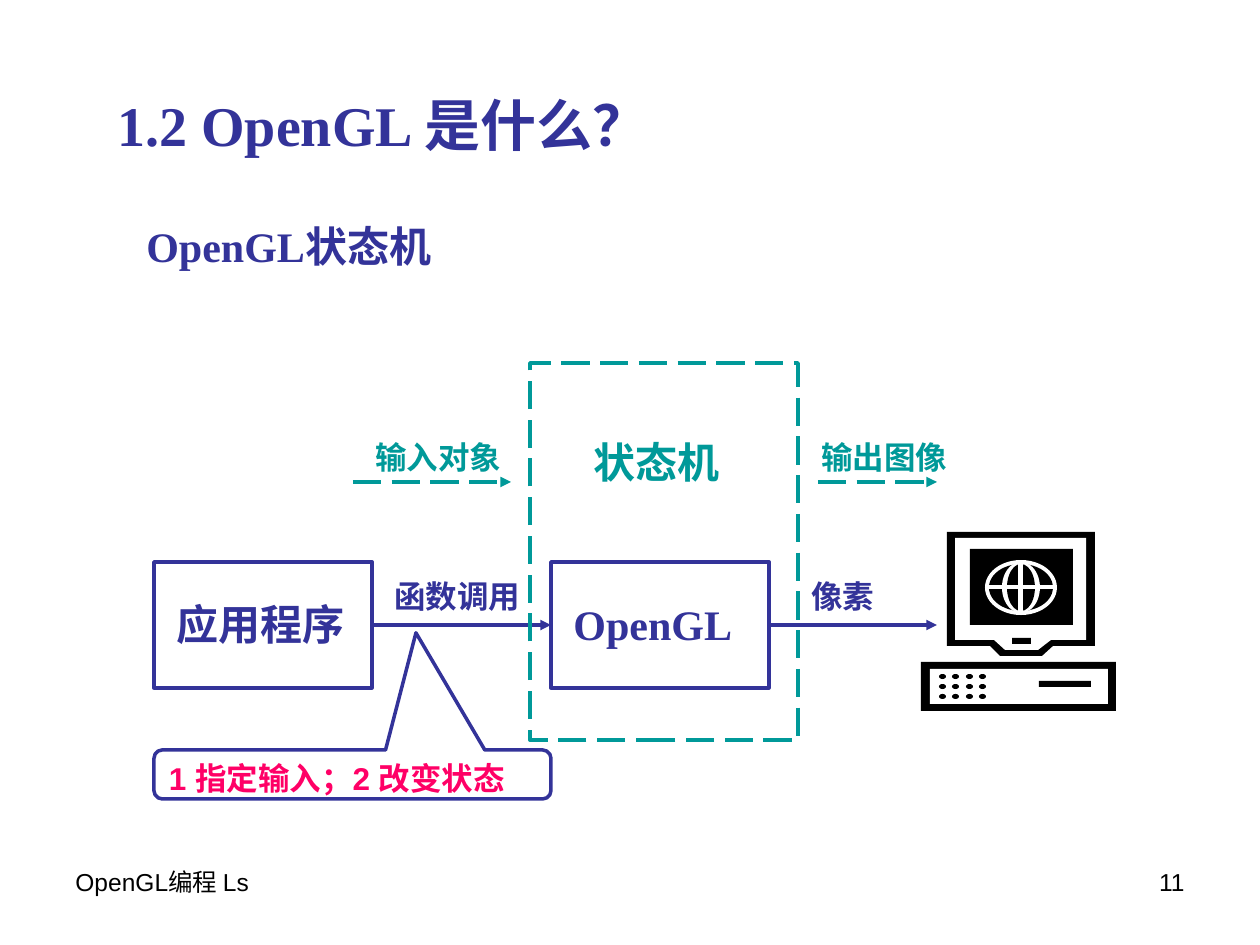
import pptx
import pptx.util
import pptx.dml.color
import pptx.enum.dml
import pptx.enum.shapes
import pptx.enum.text
import pptx.oxml.ns
from lxml import etree

PX = 914400 / 126
SHAPES = pptx.enum.shapes.MSO_SHAPE

THEME = {
    "navy": "333399", "teal": "009999", "pink": "FF0066",
    "black": "000000", "white": "FFFFFF",
    "serif": "Times New Roman", "sans": "Arial",
    "title": 32, "heading": 24, "label": 18, "footer": 14, "stroke": 2,
}

HEADING = ("heading", "serif", "navy", True)
CALL_LABEL = ("label", "serif", "navy", True)
STATE_LABEL = ("label", "sans", "teal", True)
FOOTER = ("footer", "sans", "black", False)
CALLOUT = ("label", "sans", "pink", True)

TEXTS = [
    ("1.2 OpenGL 是什么？", (105, 84, 645, 81), ("title", "serif", "navy", True), {}),
    ("OpenGL状态机", (134, 214, 328, 63), HEADING, {}),
    ("应用程序", (164, 592, 198, 63), HEADING, {}),
    ("OpenGL", (561, 592, 198, 63), HEADING, {}),
    ("函数调用", (382, 571, 198, 50), CALL_LABEL, {}),
    ("像素", (799, 571, 110, 50), CALL_LABEL, {}),
    ("状态机", (581, 430, 151, 63), ("heading", "sans", "teal", True), {"word_wrap": False}),
    ("输出图像", (809, 432, 151, 50), STATE_LABEL, {"word_wrap": False}),
    ("输入对象", (363, 432, 151, 50), STATE_LABEL, {"word_wrap": False}),
    ("11", (903, 861, 294, 66), FOOTER, {"alignment": pptx.enum.text.PP_ALIGN.RIGHT}),
    ("OpenGL编程 Ls", (63, 861, 294, 66), FOOTER, {}),
]
CALLOUT_TEXT = "1 指定输入；2 改变状态"

MONITOR = [
    ("black", [(1095, 532), (947, 532), (947, 646), (990, 646),
               (1000, 656), (1042, 656), (1053, 646), (1095, 646)]),
    ("white", [(1038, 650), (1005, 650), (994, 640), (955, 640),
               (955, 538), (1086, 538), (1086, 640), (1051, 640)]),
]
CASE_PARTS = [
    ("black", (970, 549, 103, 76)),
    ("black", (921, 662, 195, 49)),
    ("white", (930, 669, 178, 35)),
    ("black", (1039, 681, 52, 6)),
    ("black", (1012, 638, 19, 6)),
]
GLOBE_RINGS = [("white", (985, 560, 72, 55)), ("black", (989, 564, 64, 47)),
               ("white", (1002, 562, 38, 51)), ("black", (1007, 564, 28, 47))]
GLOBE_BARS = [("white", (1018, 562, 5, 51)), ("white", (987, 585, 68, 4))]
KEY_DOTS = [("black", (round(939 + 13.4 * column), 674 + 10 * row, 7, 5))
            for row in range(3) for column in range(4)]

prs = pptx.Presentation()
prs.slide_width, prs.slide_height = pptx.util.Inches(10), pptx.util.Inches(7.5)
slide = prs.slides.add_slide(prs.slide_layouts[6])


def emu(lengths):
    return [round(length * PX) for length in lengths]


def color(name):
    return pptx.dml.color.RGBColor.from_string(THEME[name])


def fill_solid(shape, name):
    shape.shadow.inherit = False
    shape.fill.solid()
    shape.fill.fore_color.rgb = color(name)
    shape.line.fill.background()


def stroke(line, name, dashed=False):
    line.color.rgb = color(name)
    line.width = pptx.util.Pt(THEME["stroke"])
    if dashed:
        line.dash_style = pptx.enum.dml.MSO_LINE.LONG_DASH


def add_filled(preset, parts):
    for name, box in parts:
        fill_solid(slide.shapes.add_shape(preset, *emu(box)), name)


def add_outline(preset, box, name, dashed=False):
    shape = slide.shapes.add_shape(preset, *emu(box))
    shape.shadow.inherit = False
    shape.fill.background()
    stroke(shape.line, name, dashed)
    return shape


def add_arrow(start, end, name, dashed=False):
    arrow = slide.shapes.add_connector(
        pptx.enum.shapes.MSO_CONNECTOR.STRAIGHT, *emu(start + end))
    stroke(arrow.line, name, dashed)
    etree.SubElement(arrow.line._get_or_add_ln(), pptx.oxml.ns.qn("a:tailEnd"), type="triangle")
    etree.SubElement(arrow._element.spPr, pptx.oxml.ns.qn("a:effectLst"))
    return arrow


def write(shape, words, style, layout):
    size, face, ink, bold = style
    frame = shape.text_frame
    frame.word_wrap = layout.get("word_wrap", True)
    frame.vertical_anchor = pptx.enum.text.MSO_ANCHOR.TOP
    paragraph = frame.paragraphs[0]
    paragraph.alignment = layout.get("alignment", pptx.enum.text.PP_ALIGN.LEFT)
    run = paragraph.add_run()
    run.text = words
    font_format = {"size": pptx.util.Pt(THEME[size]), "name": THEME[face], "bold": bold}
    for attribute, value in font_format.items():
        setattr(run.font, attribute, value)
    run.font.color.rgb = color(ink)


for name, points in MONITOR:
    outline = slide.shapes.build_freeform(*points[0], scale=PX)
    outline.add_line_segments(points[1:], close=True)
    fill_solid(outline.convert_to_shape(), name)
add_filled(SHAPES.RECTANGLE, CASE_PARTS)
add_filled(SHAPES.OVAL, GLOBE_RINGS)
add_filled(SHAPES.RECTANGLE, GLOBE_BARS)
add_filled(SHAPES.OVAL, KEY_DOTS)

application = add_outline(SHAPES.RECTANGLE, (154, 562, 218, 126), "navy")
opengl = add_outline(SHAPES.RECTANGLE, (551, 562, 218, 126), "navy")
function_call = add_arrow((372, 625), (551, 625), "navy")
function_call.begin_connect(application, 3)
function_call.end_connect(opengl, 1)
pixels = add_arrow((769, 625), (937, 625), "navy")
pixels.begin_connect(opengl, 3)

add_outline(SHAPES.RECTANGLE, (530, 363, 268, 377), "teal", dashed=True)
add_arrow((353, 482), (511, 482), "teal", dashed=True)
add_arrow((818, 482), (937, 482), "teal", dashed=True)

callout = add_outline(SHAPES.ROUNDED_RECTANGULAR_CALLOUT, (154, 750, 397, 49), "navy")
for index, value in enumerate((0.16, -2.89, 0.17)):
    callout.adjustments[index] = value
write(callout, CALLOUT_TEXT, CALLOUT, {})

for words, box, style, layout in TEXTS:
    write(slide.shapes.add_textbox(*emu(box)), words, style, layout)

prs.save("out.pptx")
